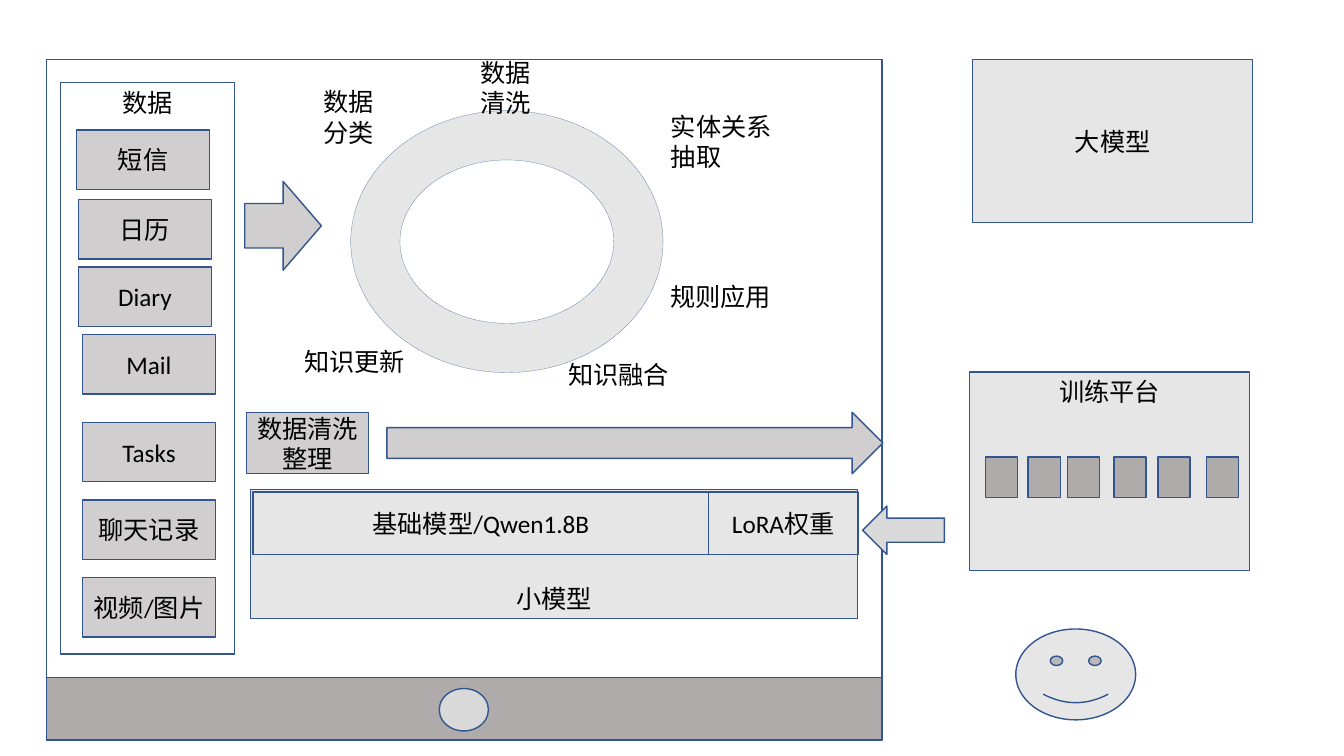
"""Builds the slide on the on-device small model, its data sources and the training platform."""
from dataclasses import dataclass

from pptx import Presentation
from pptx.dml.color import RGBColor
from pptx.enum.shapes import MSO_SHAPE
from pptx.enum.text import MSO_ANCHOR, MSO_AUTO_SIZE, PP_ALIGN
from pptx.util import Cm, Pt

RECT, OVAL, DONUT = MSO_SHAPE.RECTANGLE, MSO_SHAPE.OVAL, MSO_SHAPE.DONUT
ARROW, SMILEY = MSO_SHAPE.RIGHT_ARROW, MSO_SHAPE.SMILEY_FACE
TOP, MIDDLE, BOTTOM = MSO_ANCHOR.TOP, MSO_ANCHOR.MIDDLE, MSO_ANCHOR.BOTTOM
CENTER, LEFT = PP_ALIGN.CENTER, PP_ALIGN.LEFT
FIT_SHAPE = MSO_AUTO_SIZE.SHAPE_TO_FIT_TEXT


@dataclass(frozen=True)
class Theme:
    """Colours, font and sizes of the slide."""
    white: str = "FFFFFF"
    pale: str = "E7E6E6"
    light: str = "D9D9D9"
    grey: str = "D0CECE"
    dark: str = "AFABAB"
    outline: str = "325491"
    ink: str = "000000"
    font: str = "Calibri"
    text_size: float = 18
    line_width: float = 1
    ring_line_width: float = 0.1


THEME = Theme()

SLIDE_SIZE = (33.87, 19.05)
DEVICE = (1.17, 1.5, 21.06, 17.15)
DEVICE_BAR_HEIGHT = 1.57
HOME_BUTTON = (11.07, 17.35, 1.24, 1.07)

SOURCES_PANEL = ("数据", (1.52, 2.08, 4.39, 14.4))
SOURCE_SIZE = (3.35, 1.5)
SOURCES = [
    ("短信", 1.93, 3.28),
    ("日历", 1.98, 5.03),
    ("Diary", 1.98, 6.73),
    ("Mail", 2.08, 8.43),
    ("Tasks", 2.08, 10.64),
    ("聊天记录", 2.08, 12.6),
    ("视频/图片", 2.08, 14.55),
]

CYCLE_RING = (8.84, 2.79, 7.87, 6.6)
RING_THICKNESS = 0.188
CYCLE_STEPS = [
    ("数据\n分类", (7.9, 2.06, 1.8, 1.8)),
    ("数据\n清洗", (11.86, 1.32, 1.8, 1.8)),
    ("实体关系\n抽取", (16.66, 2.67, 3.07, 1.8)),
    ("规则应用", (16.64, 6.96, 3.07, 1.02)),
    ("知识融合", (14.07, 8.94, 3.07, 1.02)),
    ("知识更新", (7.42, 8.61, 3.07, 1.02)),
]

SMALL_MODEL = ("小模型", (6.32, 12.34, 15.29, 3.25))
MODEL_PARTS = [
    ("基础模型/Qwen1.8B", (6.38, 12.4, 11.48, 1.57)),
    ("LoRA权重", (17.86, 12.4, 3.76, 1.57)),
]
CLEANING = ("数据清洗整理", (6.22, 10.39, 3.07, 1.55))

SOURCES_ARROW = (6.17, 4.57, 1.93, 2.24)
UPLOAD_ARROW = (9.75, 10.39, 12.5, 1.55)
WEIGHTS_ARROW = (21.74, 12.75, 2.06, 1.22)

LARGE_MODEL = ("大模型", (24.51, 1.5, 7.06, 4.11))
TRAINING = ("训练平台", (24.43, 9.37, 7.06, 5.0))
TRAINING_NODE_LEFTS = [24.84, 25.91, 26.9, 28.07, 29.18, 30.4]
TRAINING_NODE_TOP = 11.52
TRAINING_NODE_SIZE = (0.81, 1.02)
USER = (25.6, 15.85, 3.02, 2.29)


def write(frame, text, alignment):
    frame.text = text
    for paragraph in frame.paragraphs:
        paragraph.alignment = alignment
        paragraph.font.name = THEME.font
        paragraph.font.size = Pt(THEME.text_size)
        paragraph.font.color.rgb = RGBColor.from_string(THEME.ink)


def add_block(slide, box, fill, text="", anchor=MIDDLE, kind=RECT, line_width=THEME.line_width):
    block = slide.shapes.add_shape(kind, *map(Cm, box))
    block.shadow.inherit = False
    if fill:
        block.fill.solid()
        block.fill.fore_color.rgb = RGBColor.from_string(fill)
    else:
        block.fill.background()
    block.line.color.rgb = RGBColor.from_string(THEME.outline)
    block.line.width = Pt(line_width)
    if text:
        block.text_frame.vertical_anchor = anchor
        write(block.text_frame, text, CENTER)
    return block


def add_label(slide, text, box):
    frame = slide.shapes.add_textbox(*map(Cm, box)).text_frame
    frame.word_wrap = False
    frame.auto_size = FIT_SHAPE
    write(frame, text, LEFT)


def add_device(slide):
    left, top, width, height = DEVICE
    bar_top = top + height - DEVICE_BAR_HEIGHT
    add_block(slide, DEVICE, None)
    add_block(slide, (left, bar_top, width, DEVICE_BAR_HEIGHT), THEME.dark)
    add_block(slide, HOME_BUTTON, THEME.light, kind=OVAL)


def add_sources(slide):
    title, box = SOURCES_PANEL
    add_block(slide, box, THEME.white, title, TOP)
    for source, left, top in SOURCES:
        add_block(slide, (left, top, *SOURCE_SIZE), THEME.grey, source)
    add_block(slide, SOURCES_ARROW, THEME.grey, kind=ARROW)


def add_knowledge_cycle(slide):
    ring = add_block(slide, CYCLE_RING, THEME.pale, kind=DONUT, line_width=THEME.ring_line_width)
    ring.adjustments[0] = RING_THICKNESS
    for step, box in CYCLE_STEPS:
        add_label(slide, step, box)


def add_small_model(slide):
    title, box = SMALL_MODEL
    add_block(slide, box, THEME.pale, title, BOTTOM)
    for part, part_box in MODEL_PARTS:
        add_block(slide, part_box, THEME.pale, part)
    cleaning, cleaning_box = CLEANING
    add_block(slide, UPLOAD_ARROW, THEME.grey, kind=ARROW)
    add_block(slide, cleaning_box, THEME.grey, cleaning)


def add_cloud(slide):
    model, model_box = LARGE_MODEL
    platform, platform_box = TRAINING
    add_block(slide, model_box, THEME.pale, model)
    add_block(slide, platform_box, THEME.pale, platform, TOP)
    for left in TRAINING_NODE_LEFTS:
        add_block(slide, (left, TRAINING_NODE_TOP, *TRAINING_NODE_SIZE), THEME.dark)
    add_block(slide, WEIGHTS_ARROW, THEME.light, kind=ARROW).rotation = 180
    add_block(slide, USER, THEME.pale, kind=SMILEY)


def main():
    deck = Presentation()
    deck.slide_width, deck.slide_height = map(Cm, SLIDE_SIZE)
    slide = deck.slides.add_slide(deck.slide_layouts.get_by_name("Blank"))
    for add_part in (add_device, add_sources, add_knowledge_cycle, add_small_model, add_cloud):
        add_part(slide)
    deck.save("out.pptx")


if __name__ == "__main__":
    main()
